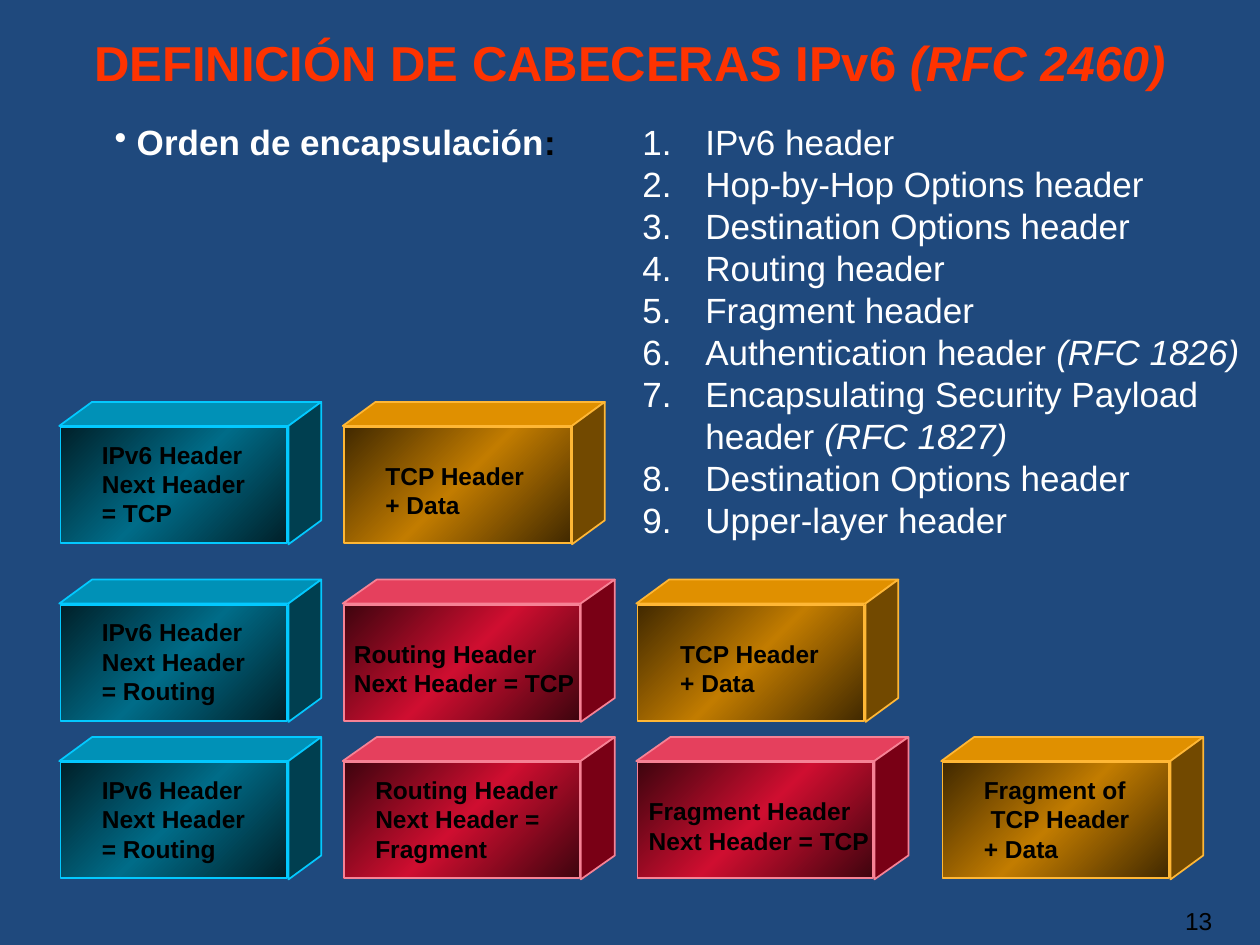
import copy

import pptx
import pptx.dml.color
import pptx.enum.shapes
import pptx.enum.text
import pptx.oxml.ns
import pptx.util
from lxml import etree

Inches = pptx.util.Inches
qn = pptx.oxml.ns.qn
ALIGN = pptx.enum.text.PP_ALIGN

COLORS = {
    "background": "1F497D", "title": "FF3300", "light": "FFFFFF", "dark": "000000",
}
# Faces of each kind of header block
BLOCKS = {
    "ipv6": {"edge": "002029", "middle": "006C88", "top": "0091B7", "side": "003F50", "line": "03C9FF"},
    "extension": {"edge": "3E040E", "middle": "CF0E30", "top": "E5405D", "side": "790015", "line": "F68295"},
    "data": {"edge": "412900", "middle": "C27C00", "top": "E09000", "side": "724900", "line": "FFB735"},
}
# Front width and depth of each kind
BLOCK_SIZES = {"ipv6": (1.82, 0.26), "extension": (1.89, 0.27), "data": (1.82, 0.26)}

COLUMNS = (0.47, 2.72, 5.05, 7.47)
# Row top, then kind, label lines, label offset and label width of each block
ROWS = [
    (3.19, [("ipv6", ["IPv6 Header", "Next Header", "= TCP"], 0.24, 1.39),
            ("data", ["TCP Header", "+ Data"], 0.24, 1.31)]),
    (4.6, [("ipv6", ["IPv6 Header", "Next Header", "= Routing"], 0.24, 1.39),
           ("extension", ["Routing Header", "Next Header = TCP"], -0.01, 1.95),
           ("data", ["TCP Header", "+ Data"], 0.25, 1.31)]),
    (5.85, [("ipv6", ["IPv6 Header", "Next Header", "= Routing"], 0.24, 1.39),
            ("extension", ["Routing Header", "Next Header =", "Fragment"], 0.16, 1.65),
            ("extension", ["Fragment Header", "Next Header = TCP"], 0, 1.95),
            ("data", ["Fragment of", " TCP Header", "+ Data"], 0.24, 1.36)]),
]
# Each entry: plain text, then an optional reference in italics
HEADER_ORDER = [
    ("IPv6 header",),
    ("Hop-by-Hop Options header",),
    ("Destination Options header",),
    ("Routing header",),
    ("Fragment header",),
    ("Authentication header ", "(RFC 1826)"),
    ("Encapsulating Security Payload header ", "(RFC 1827)"),
    ("Destination Options header",),
    ("Upper-layer header",),
]


def rgb(value):
    return pptx.dml.color.RGBColor.from_string(value)


def add_text(shapes, box, paragraphs, size, color, wrap=True, grow=True, bold=False,
             align=None, bullet=None, indent=0):
    """Add a text box; each paragraph is a list of (text, font values)."""
    text_box = shapes.add_textbox(*(Inches(length) for length in box))
    frame = text_box.text_frame
    frame.word_wrap = wrap
    if grow:
        frame.auto_size = pptx.enum.text.MSO_AUTO_SIZE.SHAPE_TO_FIT_TEXT
    for index, spans in enumerate(paragraphs):
        para = frame.add_paragraph() if index else frame.paragraphs[0]
        para.alignment = align
        if bullet:
            add_bullet(para, bullet, indent)
        for text, values in spans:
            span = para.add_run()
            span.text = text
            font = {"name": "Arial", "size": pptx.util.Pt(size), "bold": bold, **values}
            span.font.color.rgb = rgb(font.pop("color", color))
            for name, value in font.items():
                setattr(span.font, name, value)


def add_bullet(para, bullet, indent):
    """Give a paragraph a white bullet: tag name and attributes."""
    properties = para._p.get_or_add_pPr()
    properties.set("marL", str(Inches(indent)))
    properties.set("indent", str(-Inches(indent)))
    color = etree.SubElement(properties, qn("a:buClr"))
    etree.SubElement(color, qn("a:srgbClr"), val=COLORS["light"])
    tag, attributes = bullet
    etree.SubElement(properties, qn(tag), **attributes)


def outline(shape, color):
    shape.shadow.inherit = False
    shape.line.color.rgb = rgb(color)
    shape.line.width = pptx.util.Pt(1)


def add_face(shapes, points, fill, line):
    corners = [(Inches(x), Inches(y)) for x, y in points]
    builder = shapes.build_freeform(*corners[0])
    builder.add_line_segments(corners[1:], close=True)
    face = builder.convert_to_shape()
    face.fill.solid()
    face.fill.fore_color.rgb = rgb(fill)
    outline(face, line)


def add_front(shapes, box, colors):
    front = shapes.add_shape(pptx.enum.shapes.MSO_SHAPE.RECTANGLE,
                             *(Inches(length) for length in box))
    front.fill.gradient()
    front.fill.gradient_angle = 315
    stop_list = front._element.find(".//" + qn("a:gsLst"))
    stop_list.append(copy.deepcopy(stop_list[-1]))
    shades = ("edge", "middle", "edge")
    for stop, shade, position in zip(front.fill.gradient_stops, shades, (0, 0.5, 1)):
        stop.color.rgb = rgb(colors[shade])
        stop.position = position
    outline(front, colors["line"])


def add_block(page, left, top, kind, lines, label_offset, label_width):
    """Draw one header as a solid block with its label."""
    colors = BLOCKS[kind]
    width, depth = BLOCK_SIZES[kind]
    rise, height = 0.19, 1.13
    right, back = left + width, left + width + depth
    shapes = page.shapes.add_group_shape().shapes
    add_front(shapes, (left + 0.01, top + 0.2, width - 0.02, 0.92), colors)
    add_face(shapes, [(left, top + rise), (left + depth, top), (back, top),
                      (right, top + rise)], colors["top"], colors["line"])
    add_face(shapes, [(right, top + height), (back, top + height - rise), (back, top),
                      (right, top + rise)], colors["side"], colors["line"])
    label_top, label_height = (0.25, 0.8) if len(lines) == 3 else (0.42, 0.57)
    add_text(shapes, (left + label_offset, top + label_top, label_width, label_height),
             [[(line, {})] for line in lines], 14, COLORS["dark"], wrap=False, bold=True)


def add_packets(page):
    for top, blocks in ROWS:
        for left, block in zip(COLUMNS, blocks):
            add_block(page, left, top, *block)


def add_title(page, box):
    spans = [("DEFINICIÓN DE CABECERAS IPv6 ", {}), ("(RFC 2460)", {"italic": True})]
    add_text(page.shapes, box, [spans], 28, COLORS["title"], wrap=False, bold=True)


def add_header_order(page, box):
    paragraphs = [[(text, {"italic": index == 1}) for index, text in enumerate(entry)]
                  for entry in HEADER_ORDER]
    add_text(page.shapes, box, paragraphs, 20, COLORS["light"], indent=0.5,
             bullet=("a:buAutoNum", {"type": "arabicPeriod"}))


def add_heading(page, box):
    spans = [(" Orden de encapsulación", {}), (":", {"color": COLORS["dark"]})]
    add_text(page.shapes, box, [spans], 20, COLORS["light"], bold=True,
             align=ALIGN.CENTER, bullet=("a:buChar", {"char": "•"}))


def add_page_number(page, box):
    add_text(page.shapes, box, [[("13", {})]], 14, COLORS["dark"], grow=False,
             align=ALIGN.RIGHT)


def main():
    deck = pptx.Presentation()
    deck.slide_width, deck.slide_height = Inches(10), Inches(7.5)
    page = deck.slides.add_slide(deck.slide_layouts[6])
    page.background.fill.solid()
    page.background.fill.fore_color.rgb = rgb(COLORS["background"])
    add_packets(page)
    add_title(page, (0.65, 0.21, 8.7, 0.57))
    add_header_order(page, (5, 0.91, 5.33, 3.44))
    add_heading(page, (0.75, 0.91, 3.82, 0.44))
    add_page_number(page, (9.17, 7.14, 0.55, 0.52))
    deck.save("out.pptx")


if __name__ == "__main__":
    main()
